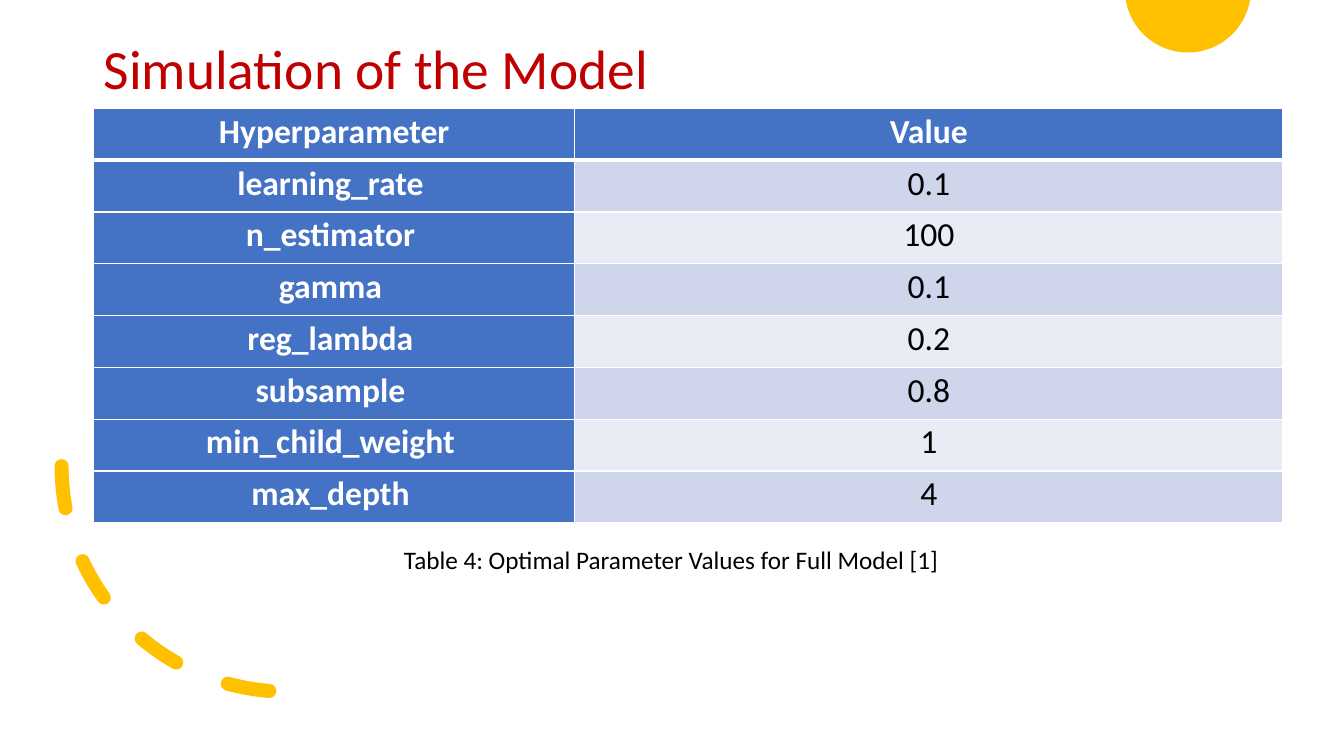
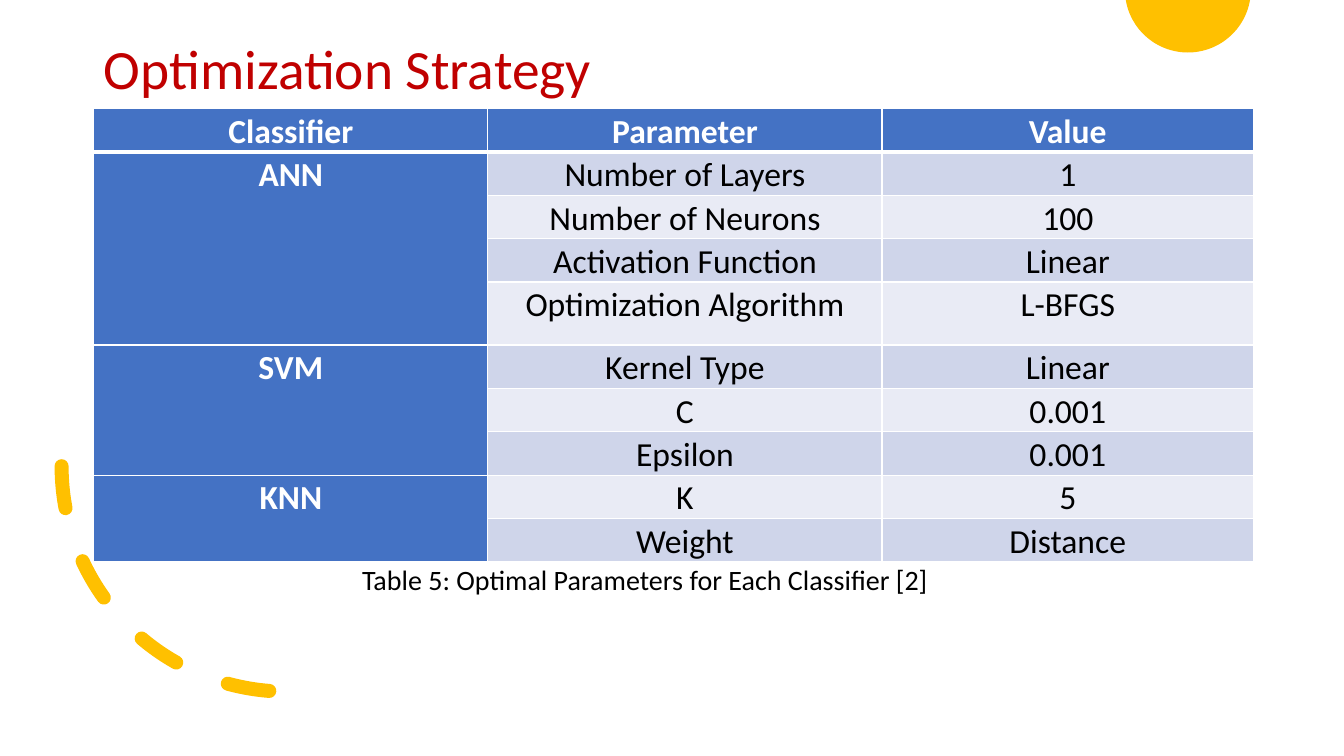
from math import asin, cos, pi, sin

from lxml.etree import SubElement
from pptx import Presentation
from pptx.dml.color import RGBColor
from pptx.enum.dml import MSO_LINE
from pptx.enum.shapes import MSO_SHAPE
from pptx.enum.text import MSO_ANCHOR, MSO_AUTO_SIZE, PP_ALIGN
from pptx.oxml.ns import qn
from pptx.util import Emu, Pt

PX = 6350  # 144 px to the inch


def px(n):
    return Emu(n * PX)


def rgb(value):
    return RGBColor.from_string(value)


def write(tf, text, size, color, bold=False, align=PP_ALIGN.LEFT, spacing=1.07, after=8):
    p = tf.paragraphs[0]
    p.alignment, p.line_spacing, p.space_after = align, spacing, Pt(after)
    r = p.add_run()
    r.text = text
    r.font.name, r.font.size, r.font.bold = Deck.FONT, Pt(size), bold
    r.font.color.rgb = rgb(color)


def set_border(cell, side, width, color):
    ln = SubElement(cell._tc.get_or_add_tcPr(), qn(f"a:ln{side}"), w=str(Pt(width)))
    fill = SubElement(ln, qn("a:solidFill"))
    SubElement(fill, qn("a:srgbClr"), val=color)


class Deck:
    FONT = "Calibri"
    WHITE, BLACK, RED, GOLD, BLUE = "FFFFFF", "000000", "C00000", "FFC000", "4472C4"
    BANDS = "CFD5EA", "E9EBF5"

    def __init__(self):
        self.prs = Presentation()
        self.prs.slide_width, self.prs.slide_height = px(1920), px(1080)

    def add_slide(self, title):
        self.slide = self.prs.slides.add_slide(self.prs.slide_layouts[6])
        self.add_dome(1697, -15, 90)
        self.add_dashed_arc(88, 344, 644)
        tf = self.add_box(134, 48, 1656, 108)
        tf.vertical_anchor = MSO_ANCHOR.MIDDLE
        write(tf, title, 39.6, self.RED, spacing=0.9, after=0)

    def add_dome(self, cx, cy, radius, steps=60):
        """Draw the part of a circle that lies below the slide's top edge."""
        start = asin(-cy / radius)
        angles = [start + (pi - 2 * start) * i / steps for i in range(steps + 1)]
        points = [(round((cx + radius * cos(a)) * PX), round((cy + radius * sin(a)) * PX))
                  for a in angles]
        builder = self.slide.shapes.build_freeform(*points[0])
        builder.add_line_segments(points[1:], close=True)
        s = builder.convert_to_shape()
        s.shadow.inherit = False
        s.fill.solid()
        s.fill.fore_color.rgb = rgb(self.GOLD)
        s.line.fill.background()

    def add_dashed_arc(self, x, y, size):
        s = self.slide.shapes.add_shape(MSO_SHAPE.ARC, px(x), px(y), px(size), px(size))
        s.shadow.inherit = False
        s.fill.background()
        s.rotation = 90
        s._element.spPr.find(qn("a:xfrm")).set("flipV", "1")
        s.line.color.rgb = rgb(self.GOLD)
        s.line.width = Pt(10)
        s.line.dash_style = MSO_LINE.DASH
        s._element.spPr.find(qn("a:ln")).set("cap", "rnd")

    def add_box(self, x, y, w, h):
        tf = self.slide.shapes.add_textbox(px(x), px(y), px(w), px(h)).text_frame
        tf.word_wrap = True
        return tf

    def add_caption(self, text, x, y, w, h, size):
        tf = self.add_box(x, y, w, h)
        tf.auto_size = MSO_AUTO_SIZE.SHAPE_TO_FIT_TEXT
        write(tf, text, size, self.BLACK, align=PP_ALIGN.JUSTIFY)

    def add_table(self, header, groups, widths, heights):
        """Fill a table whose first column holds one merged label per group of rows."""
        table = self.slide.shapes.add_table(
            len(heights), len(widths), px(134), px(155),
            px(sum(widths)), px(sum(heights))).table
        for column, width in zip(table.columns, widths):
            column.width = px(width)
        for row, height in zip(table.rows, heights):
            row.height = px(height)

        rows = [header]
        for label, values in groups.items():
            first = len(rows)
            rows += [(label if i == 0 else "", *v) for i, v in enumerate(values)]
            if len(values) > 1:
                table.cell(first, 0).merge(table.cell(len(rows) - 1, 0))
        for i, row in enumerate(rows):
            for j, text in enumerate(row):
                self.format_cell(table.cell(i, j), text, i, j)

    def format_cell(self, cell, text, row, column):
        is_label = row == 0 or column == 0
        cell.margin_left = cell.margin_right = px(10)
        cell.margin_top = cell.margin_bottom = 0
        widths = {"L": 1, "R": 1, "T": 3 if row == 1 else 1, "B": 3 if row == 0 else 1}
        for side, width in widths.items():
            set_border(cell, side, width, self.WHITE)
        cell.fill.solid()
        cell.fill.fore_color.rgb = rgb(self.BLUE if is_label else self.BANDS[(row - 1) % 2])
        if text:
            write(cell.text_frame, text, 24, self.WHITE if is_label else self.BLACK,
                  bold=is_label, align=PP_ALIGN.CENTER)


def main():
    deck = Deck()

    deck.add_slide("Simulation of the Model")
    deck.add_caption("Table 4: Optimal Parameter Values for Full Model [1]",
                     563, 768, 798, 59, size=18)
    hyperparameters = {
        "learning_rate ": [("0.1",)],
        "n_estimator ": [("100",)],
        "gamma ": [("0.1",)],
        "reg_lambda ": [("0.2",)],
        "subsample ": [("0.8",)],
        "min_child_weight ": [("1",)],
        "max_depth ": [("4",)],
    }
    deck.add_table(("Hyperparameter", "Value"), hyperparameters,
                   widths=[687, 1012], heights=[74] * 8)

    deck.add_slide("Optimization Strategy")
    classifiers = {
        "ANN": [("Number of Layers", "1"), ("Number of Neurons", "100"),
                ("Activation Function", "Linear"), ("Optimization Algorithm", "L-BFGS")],
        "SVM": [("Kernel Type", "Linear"), ("C", "0.001"), ("Epsilon", "0.001")],
        "KNN": [("K", "5"), ("Weight", "Distance")],
    }
    deck.add_table(("Classifier", "Parameter", "Value"), classifiers,
                   widths=[563, 563, 531], heights=[62] * 4 + [90] + [62] * 5)
    deck.add_caption("Table 5: Optimal Parameters for Each Classifier [2]",
                     503, 793, 960, 65, size=20)

    deck.prs.save("out.pptx")


if __name__ == "__main__":
    main()
